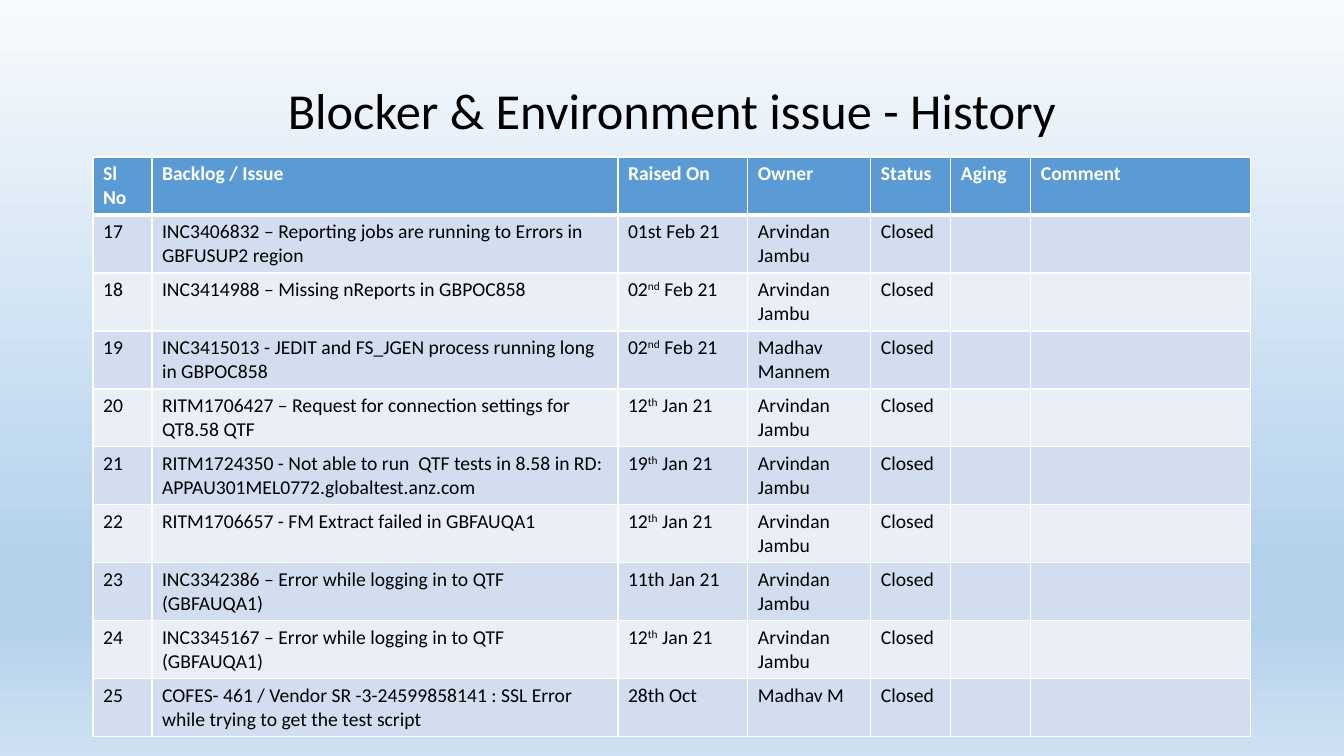
"""Build the slide listing the history of blockers and environment issues."""
from dataclasses import dataclass

from lxml.etree import SubElement
from pptx import Presentation
from pptx.dml.color import RGBColor
from pptx.enum.text import MSO_ANCHOR, PP_ALIGN
from pptx.oxml.ns import qn
from pptx.util import Emu, Pt

EMU_PER_PX = 914400 / 100.8
FONT = "Calibri"
BLACK = RGBColor(0x00, 0x00, 0x00)
WHITE = RGBColor(0xFF, 0xFF, 0xFF)
HEADER_BLUE = RGBColor(0x5B, 0x9B, 0xD5)
ODD_BAND = RGBColor(0xD2, 0xDE, 0xEF)
EVEN_BAND = RGBColor(0xEA, 0xEF, 0xF7)
SKY_PALE = RGBColor(0xF7, 0xFA, 0xFD)
SKY_DEEP = RGBColor(0xB5, 0xD2, 0xEC)
SKY_SOFT = RGBColor(0xCE, 0xE1, 0xF2)
SKY_STOPS = ((0, SKY_PALE), (74, SKY_DEEP), (83, SKY_DEEP), (100, SKY_SOFT))

LEFT, WIDTH = 93, 1158
TABLE_TOP, ROW_HEIGHT = 157, 58
FIRST_NUMBER = 17


@dataclass(frozen=True)
class Column:
    heading: str
    width: int


@dataclass(frozen=True)
class RaisedOn:
    day: str
    month: str
    suffix: str = ""


@dataclass(frozen=True)
class Issue:
    summary: str
    raised_on: RaisedOn
    owner: str = "Arvindan Jambu"
    status: str = "Closed"


COLUMNS = (
    Column("Sl No", 59),
    Column("Backlog / Issue", 466),
    Column("Raised On", 130),
    Column("Owner", 123),
    Column("Status", 80),
    Column("Aging", 80),
    Column("Comment", 220),
)

ISSUES = (
    Issue("INC3406832 – Reporting jobs are running to Errors in GBFUSUP2 region",
          RaisedOn("01st", " Feb 21")),
    Issue("INC3414988 – Missing nReports in GBPOC858",
          RaisedOn("02", " Feb 21", "nd")),
    Issue("INC3415013 - JEDIT and FS_JGEN process running long in GBPOC858",
          RaisedOn("02", " Feb 21", "nd"), "Madhav Mannem"),
    Issue("RITM1706427 – Request for connection settings for QT8.58 QTF",
          RaisedOn("12", " Jan 21", "th")),
    Issue("RITM1724350 - Not able to run  QTF tests in 8.58 in RD: "
          "APPAU301MEL0772.globaltest.anz.com",
          RaisedOn("19", " Jan 21", "th")),
    Issue("RITM1706657 - FM Extract failed in GBFAUQA1",
          RaisedOn("12", " Jan 21", "th")),
    Issue("INC3342386 – Error while logging in to QTF (GBFAUQA1)",
          RaisedOn("11th", " Jan 21")),
    Issue("INC3345167 – Error while logging in to QTF (GBFAUQA1)",
          RaisedOn("12", " Jan 21", "th")),
    Issue("COFES- 461 / Vendor SR -3-24599858141 : SSL Error while trying "
          "to get the test script",
          RaisedOn("28th", " Oct"), "Madhav M"),
)


def px(length: int) -> Emu:
    """Turn pixels into EMU."""
    return Emu(round(length * EMU_PER_PX))


def add_run(paragraph, text: str, size: int, color: RGBColor,
            bold: bool = False, raised: bool = False) -> None:
    """Append one formatted run, raised as a superscript if asked."""
    run = paragraph.add_run()
    run.text = text
    run.font.name = FONT
    run.font.size = Pt(size)
    run.font.bold = bold
    run.font.color.rgb = color
    if raised:
        run.font._element.set("baseline", "30000")


def paint_sky(slide) -> None:
    """Fill the background with the vertical gradient."""
    fill = slide.background.fill
    fill.gradient()
    fill.gradient_angle = 270
    stops = next(slide._element.iter(qn("a:gsLst")))
    for stop in list(stops):
        stops.remove(stop)
    for percent, color in SKY_STOPS:
        stop = SubElement(stops, qn("a:gs"), pos=str(percent * 1000))
        SubElement(stop, qn("a:srgbClr"), val=str(color))


def write_title(title) -> None:
    """Place and write the slide title."""
    title.left, title.top = px(LEFT), px(40)
    title.width, title.height = px(WIDTH), px(146)
    title.text_frame.vertical_anchor = MSO_ANCHOR.MIDDLE
    heading = title.text_frame.paragraphs[0]
    heading.alignment = PP_ALIGN.CENTER
    heading.line_spacing = 0.9
    add_run(heading, "Blocker & Environment issue - History", 36, BLACK)


def style_cell(cell, color: RGBColor, bottom_points: int) -> None:
    """Give a cell its white borders and its fill."""
    properties = cell._tc.get_or_add_tcPr()
    for side, points in (("L", 1), ("R", 1), ("T", 1), ("B", bottom_points)):
        border = SubElement(properties, qn(f"a:ln{side}"), w=str(Pt(points)))
        solid = SubElement(border, qn("a:solidFill"))
        SubElement(solid, qn("a:srgbClr"), val=str(WHITE))
    cell.fill.solid()
    cell.fill.fore_color.rgb = color


def write_date(paragraph, date: RaisedOn) -> None:
    """Write a date with its ordinal suffix."""
    if date.suffix:
        add_run(paragraph, date.day, 14, BLACK)
        add_run(paragraph, date.suffix, 14, BLACK, raised=True)
        add_run(paragraph, date.month, 14, BLACK)
    else:
        add_run(paragraph, date.day + date.month, 14, BLACK)


def write_issue(row, number: int, issue: Issue) -> None:
    """Fill one table row with an issue."""
    entries = (str(number), issue.summary, issue.raised_on, issue.owner, issue.status)
    for cell, entry in zip(row.cells, entries):
        paragraph = cell.text_frame.paragraphs[0]
        if isinstance(entry, RaisedOn):
            write_date(paragraph, entry)
        else:
            add_run(paragraph, entry, 14, BLACK)


def add_history(slide) -> None:
    """Add the table of issues."""
    row_count = len(ISSUES) + 1
    history = slide.shapes.add_table(
        row_count, len(COLUMNS), px(LEFT), px(TABLE_TOP),
        px(WIDTH), px(ROW_HEIGHT * row_count)).table
    for index, column in enumerate(COLUMNS):
        history.columns[index].width = px(column.width)
        header = history.cell(0, index)
        style_cell(header, HEADER_BLUE, 3)
        add_run(header.text_frame.paragraphs[0], column.heading, 14, WHITE, bold=True)
    for index, issue in enumerate(ISSUES):
        row = history.rows[index + 1]
        for cell in row.cells:
            style_cell(cell, EVEN_BAND if index % 2 else ODD_BAND, 1)
        write_issue(row, FIRST_NUMBER + index, issue)


def main() -> None:
    """Build and save the presentation."""
    deck = Presentation()
    deck.slide_width, deck.slide_height = px(1344), px(756)
    slide = deck.slides.add_slide(deck.slide_layouts[5])
    paint_sky(slide)
    write_title(slide.shapes.title)
    add_history(slide)
    deck.save("out.pptx")


if __name__ == "__main__":
    main()
